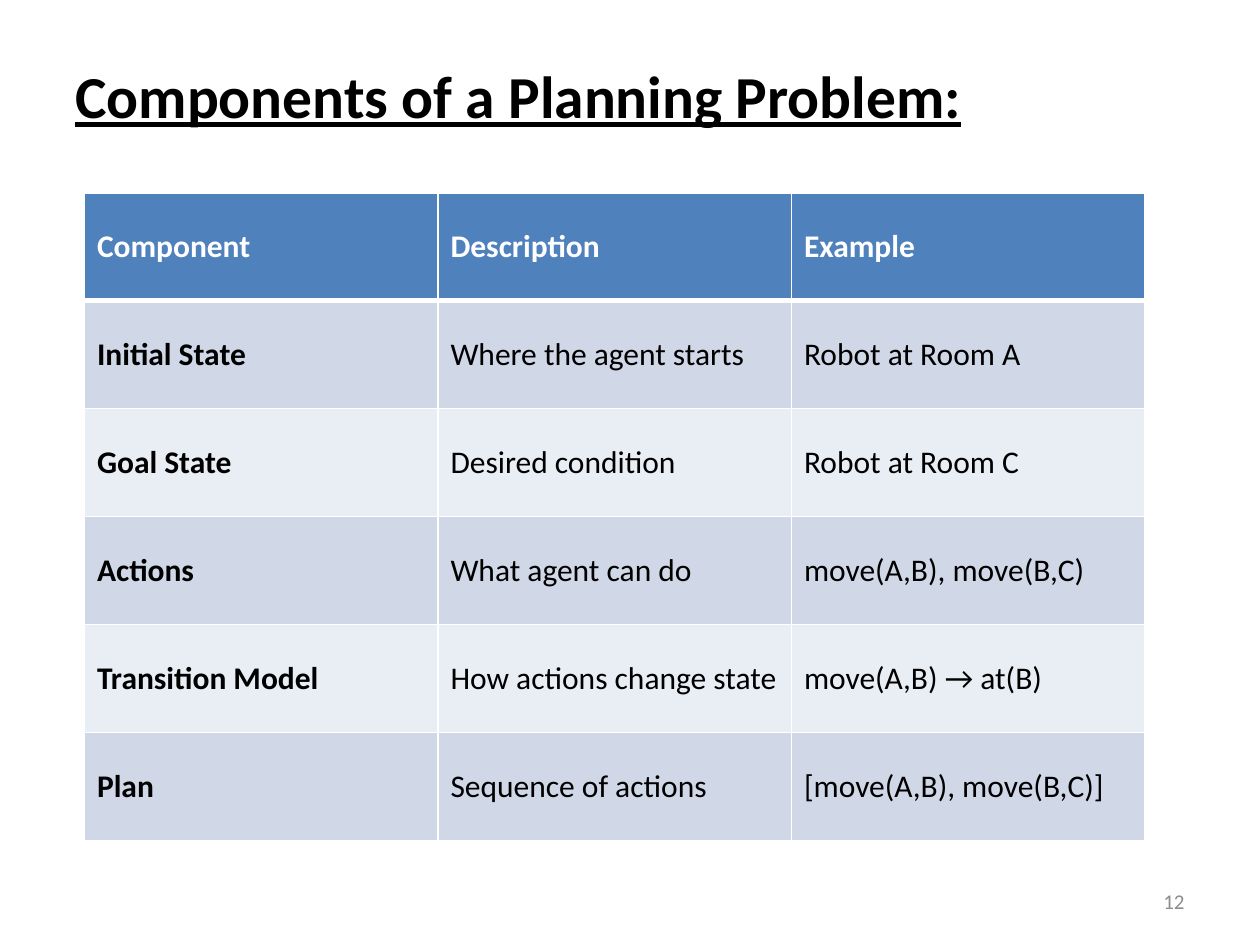
"""Build the slide that lists the components of a planning problem."""
from dataclasses import dataclass

from lxml import etree
from pptx import Presentation
from pptx import util as u
from pptx.dml.color import RGBColor
from pptx.enum import text
from pptx.oxml.ns import qn

HUES = {
    "head": "4F81BD", "odd": "D0D8E8", "even": "E9EDF4",
    "white": "FFFFFF", "black": "000000", "grey": "8C8C8C",
}
ROWS = [
    ("Component", "Description", "Example"),
    ("Initial State", "Where the agent starts", "Robot at Room A"),
    ("Goal State", "Desired condition", "Robot at Room C"),
    ("Actions", "What agent can do", "move(A,B), move(B,C)"),
    ("Transition Model", "How actions change state", "move(A,B) → at(B)"),
    ("Plan", "Sequence of actions", "[move(A,B), move(B,C)]"),
]


@dataclass
class Box:
    """Place and size in points."""
    left: float
    top: float
    width: float
    height: float

    def pts(self) -> list:
        """Return the four lengths."""
        return [u.Pt(n) for n in (self.left, self.top, self.width, self.height)]


@dataclass
class Style:
    """Look of a run."""
    size: float
    hue: str
    bold: bool = False
    under: bool = False


@dataclass
class Label:
    """Text box with one run."""
    words: str
    box: Box
    style: Style
    align: text.PP_ALIGN = text.PP_ALIGN.LEFT
    anchor: text.MSO_ANCHOR = text.MSO_ANCHOR.TOP


LABELS = [
    Label("12", Box(516.24, 500.4, 167.76, 28.8), Style(12, "grey"),
          text.PP_ALIGN.RIGHT, text.MSO_ANCHOR.MIDDLE),
    Label("Components of a Planning Problem:", Box(36, 30.24, 635.76, 128.16),
          Style(34, "black", True, True)),
]
GRID = Box(48.24, 110.16, 606, 370.2)


def add_run(para, words: str, style: Style) -> None:
    """Add one styled run to a paragraph."""
    run = para.add_run()
    run.text = words
    font = run.font
    font.name = "Calibri"
    font.size = u.Pt(style.size)
    font.bold = style.bold
    font.underline = style.under
    font.color.rgb = RGBColor.from_string(HUES[style.hue])


def add_label(slide, label: Label) -> None:
    """Draw a text box."""
    frame = slide.shapes.add_textbox(*label.box.pts()).text_frame
    frame.word_wrap = True
    frame.vertical_anchor = label.anchor
    para = frame.paragraphs[0]
    para.alignment = label.align
    add_run(para, label.words, label.style)


def set_edges(cell, top: float, low: float) -> None:
    """Give a cell white borders, placed before its fill."""
    props = cell._tc.get_or_add_tcPr()
    sides = {"lnL": 1, "lnR": 1, "lnT": top, "lnB": low}
    for spot, (side, width) in enumerate(sides.items()):
        line = etree.Element(qn(f"a:{side}"), w=str(int(u.Pt(width))))
        fill = etree.SubElement(line, qn("a:solidFill"))
        etree.SubElement(fill, qn("a:srgbClr"), val=HUES["white"])
        props.insert(spot, line)


def fill_cell(cell, words: str, row: int, col: int) -> None:
    """Write and colour one cell."""
    head = row == 0
    hue = "head" if head else "odd" if row % 2 else "even"
    cell.fill.solid()
    cell.fill.fore_color.rgb = RGBColor.from_string(HUES[hue])
    cell.vertical_anchor = text.MSO_ANCHOR.MIDDLE
    style = Style(18, "white" if head else "black", head or col == 0)
    add_run(cell.text_frame.paragraphs[0], words, style)
    set_edges(cell, 3 if row == 1 else 1, 3 if head else 1)


def add_grid(slide, box: Box, rows: list) -> None:
    """Draw the table with equal rows and columns."""
    table = slide.shapes.add_table(len(rows), len(rows[0]), *box.pts()).table
    for r, row in enumerate(rows):
        for c, words in enumerate(row):
            fill_cell(table.cell(r, c), words, r, c)


def main() -> None:
    """Make and save the slide."""
    deck = Presentation()
    deck.slide_width, deck.slide_height = u.Pt(720), u.Pt(540)
    slide = deck.slides.add_slide(deck.slide_layouts[6])
    for label in LABELS:
        add_label(slide, label)
    add_grid(slide, GRID, ROWS)
    deck.save("out.pptx")


if __name__ == "__main__":
    main()
